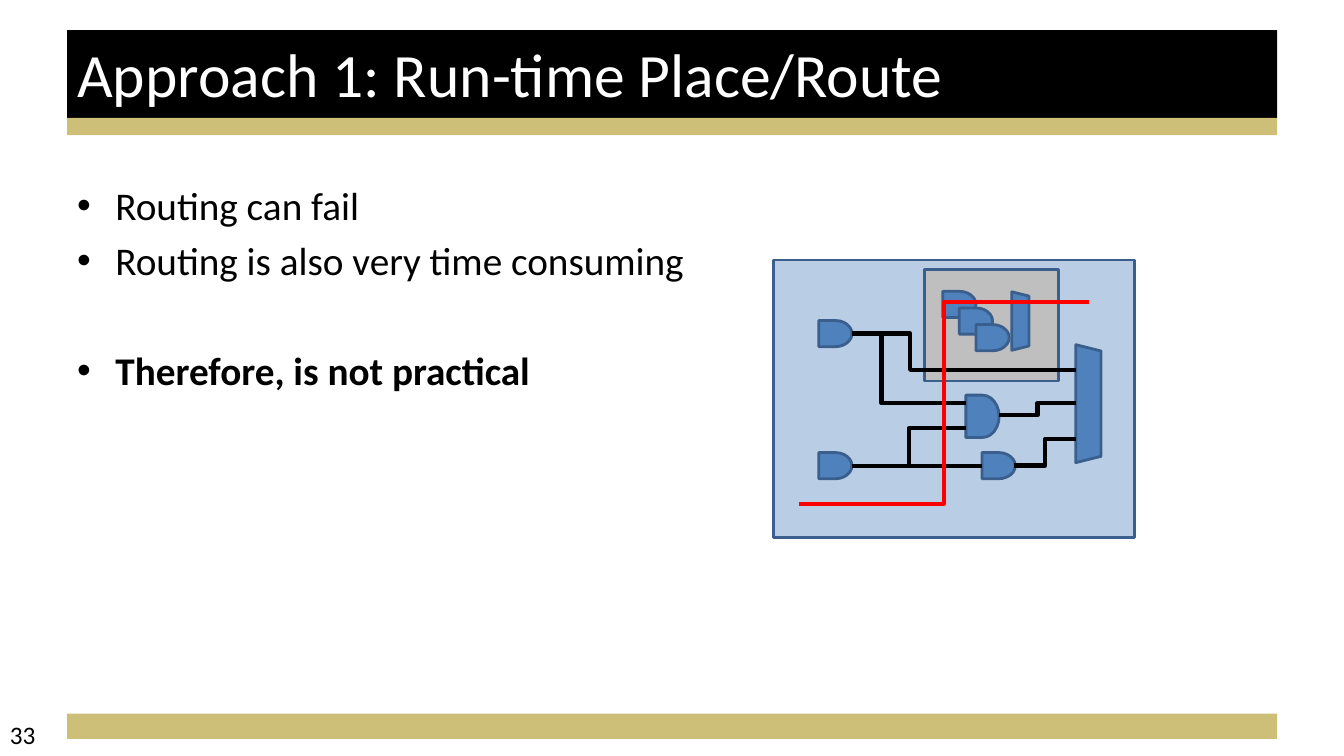
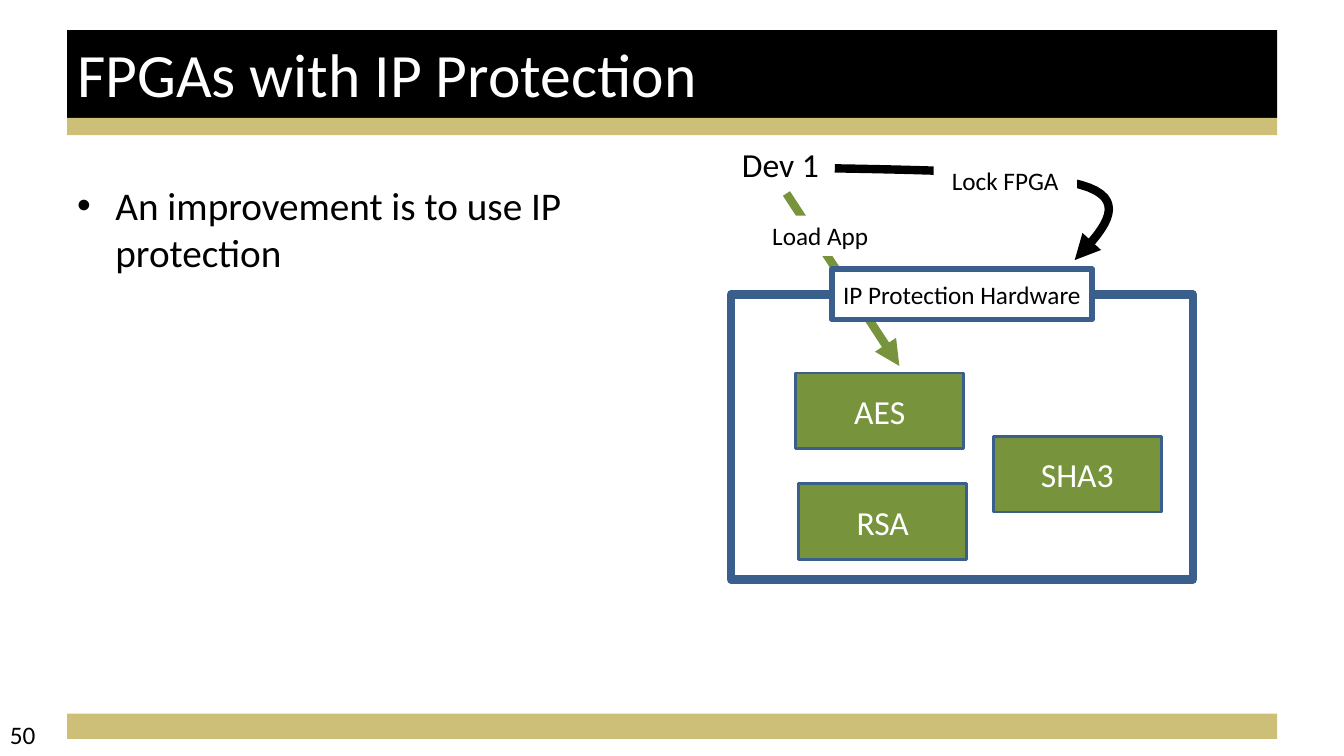
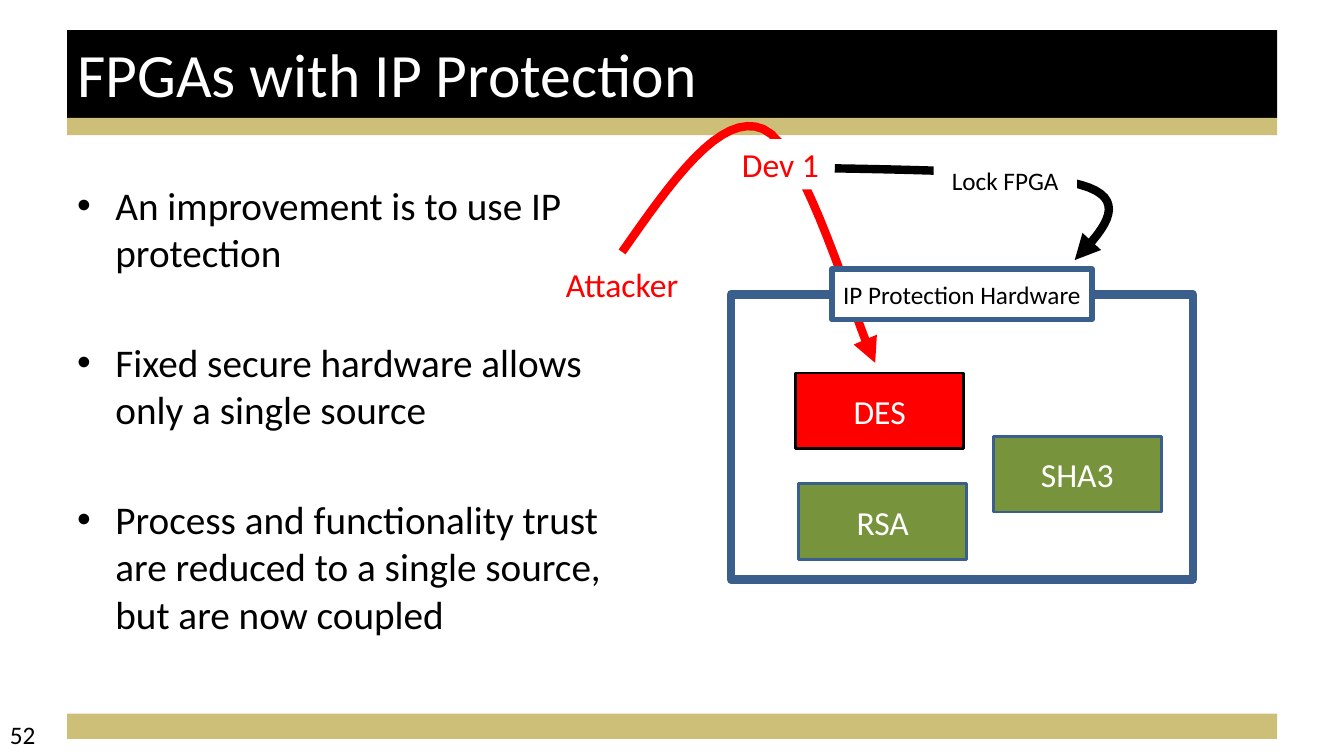
"""Build three slides on FPGA routing and IP protection."""
import lxml.etree
import pptx
import pptx.dml.color
import pptx.enum.shapes
import pptx.enum.text
import pptx.oxml.ns
import pptx.util

SHAPE = pptx.enum.shapes.MSO_SHAPE
CONNECTOR = pptx.enum.shapes.MSO_CONNECTOR
ALIGN = pptx.enum.text.PP_ALIGN
ANCHOR = pptx.enum.text.MSO_ANCHOR
Inches = pptx.util.Inches
Pt = pptx.util.Pt
qn = pptx.oxml.ns.qn

FONT = "Calibri"
BLACK, WHITE, GOLD, RED = "000000", "FFFFFF", "CDBF78", "FF0000"
BLUE, EDGE, GREEN, PALE, GRAY = "4F81BD", "3A5F8C", "77933C", "B9CDE5", "BFBFBF"

WIDTH, HEIGHT = 13.33, 7.5
MARGIN, BAND_WIDTH = WIDTH / 20, 12
TITLE_TOP, TITLE_HEIGHT = 0.3, 0.87
BANDS = [(TITLE_TOP + TITLE_HEIGHT, 0.17), (7.08, 0.25)]
TIGHT, LOOSE = 5.6, 45

IMPROVEMENT = ("An improvement is to use IP protection", 0, False)
PAGES = [
    dict(title="Approach 1: Run-time Place/Route", number="33", body_width=6.42,
         bullets=[("Routing can fail", 0, False),
                  ("Routing is also very time consuming", TIGHT, False),
                  ("Therefore, is not practical", LOOSE, True)]),
    dict(title="FPGAs with IP Protection", number="50", body_width=5.89,
         bullets=[IMPROVEMENT], first_core=("AES", GREEN, EDGE),
         labels=[("Dev 1", (7.23, 1.38, 1.02, 0.5), 24, BLACK, WHITE),
                 ("Load App", (7.46, 2.14, 1.35, 0.4), 18, BLACK, WHITE)]),
    dict(title="FPGAs with IP Protection", number="52", body_width=5.89,
         bullets=[IMPROVEMENT,
                  ("Fixed secure hardware allows only a single source", LOOSE, False),
                  ("Process and functionality trust are reduced to a single source, "
                   "but are now coupled", LOOSE, False)],
         first_core=("DES", RED, BLACK),
         labels=[("Attacker", (5.43, 2.57, 1.48, 0.5), 24, RED, None),
                 ("Dev 1", (7.23, 1.38, 1.02, 0.5), 24, RED, WHITE)]),
]

GATE = (0.33, 0.26)
INPUT_X, INPUT_Y, OUTPUT_Y = 8.12, 3.18, 4.49
SPARE_GATE, SPARE_STEP = (9.35, 2.89), 0.165
MUXES = [(10.21, 3.88, 1.17, 0.25), (9.83, 3.1, 0.58, 0.17)]
WIRES = [
    ((8.45, 3.31), (10.67, 3.67), 0.26, BLACK),
    ((10.06, 4.62), (10.67, 4.36), 0.5, BLACK),
    ((8.45, 3.31), (9.58, 4), 0.26, BLACK),
    ((8.45, 4.62), (9.58, 4.25), 0.5, BLACK),
    ((9.91, 4.12), (10.67, 4), 0.5, BLACK),
    ((7.92, 5), (10.8, 3), 0.5, RED),
]
LOAD_ROUTE = ((7.8, 1.92), (8.92, 3.63))
LOCK_CURVE = [(8.28, 1.67), (9.34, 1.69), (10.4, 1.71), (10.8, 1.86),
              (11.19, 2.01), (10.93, 2.3), (10.66, 2.58)]
ATTACK_CURVE = [(6.17, 2.5), (6.66, 1.8), (7.15, 1.1), (7.57, 1.28),
                (7.99, 1.46), (8.48, 3.21), (8.68, 3.6)]
CORE_SIZE = (1.67, 0.75)
OTHER_CORES = [("SHA3", 9.85, 4.33), ("RSA", 7.92, 4.8)]


def color(value):
    return pptx.dml.color.RGBColor.from_string(value)


def write(para, text, size, ink, bold=False):
    span = para.add_run()
    span.text = text
    span.font.name, span.font.size, span.font.bold = FONT, Pt(size), bold
    span.font.color.rgb = color(ink)


def add_box(page, area, fill=None, edge=None, weight=2, kind=SHAPE.RECTANGLE,
            text=None, size=24, ink=WHITE):
    box = page.shapes.add_shape(kind, *map(Inches, area))
    box.shadow.inherit = False
    paint(box.fill, fill)
    paint(box.line.fill, edge)
    if edge:
        box.line.width = Pt(weight)
    if text:
        box.text_frame.word_wrap = True
        box.text_frame.vertical_anchor = ANCHOR.MIDDLE
        para = box.text_frame.paragraphs[0]
        para.alignment = ALIGN.CENTER
        write(para, text, size, ink)
    return box


def paint(fill, value):
    if value:
        fill.solid()
        fill.fore_color.rgb = color(value)
    else:
        fill.background()


def stroke(line_shape, ink, weight, arrow=False):
    line_shape.line.color.rgb = color(ink)
    line_shape.line.width = Pt(weight)
    if arrow:
        outline = line_shape.element.find(qn("p:spPr")).find(qn("a:ln"))
        lxml.etree.SubElement(outline, qn("a:tailEnd"), type="triangle")


def add_wire(page, start, end, ink=BLACK, weight=3, bend=None, arrow=False):
    kind = CONNECTOR.STRAIGHT if bend is None else CONNECTOR.ELBOW
    wire = page.shapes.add_connector(kind, *map(Inches, start + end))
    stroke(wire, ink, weight, arrow)
    properties = wire.element.find(qn("p:spPr"))
    lxml.etree.SubElement(properties, qn("a:effectLst"))
    if bend is not None:
        guides = properties.find(qn("a:prstGeom")).find(qn("a:avLst"))
        lxml.etree.SubElement(guides, qn("a:gd"), name="adj1",
                              fmla=f"val {round(bend * 100000)}")
    return wire


def bezier(points, share):
    weights = ((1 - share) ** 3, 3 * share * (1 - share) ** 2,
               3 * share ** 2 * (1 - share), share ** 3)
    return tuple(Inches(sum(w * point[axis] for w, point in zip(weights, points)))
                 for axis in (0, 1))


def add_curve(page, points, ink, steps=16):
    track = [bezier(points[first:first + 4], step / steps)
             for first in range(0, len(points) - 1, 3)
             for step in range(1, steps + 1)]
    builder = page.shapes.build_freeform(*map(Inches, points[0]))
    builder.add_line_segments(track, close=False)
    curve = builder.convert_to_shape()
    curve.shadow.inherit = False
    curve.fill.background()
    stroke(curve, ink, 6, arrow=True)


def add_text_box(page, area):
    box = page.shapes.add_textbox(*map(Inches, area))
    box.text_frame.word_wrap = True
    return box.text_frame


def add_bullets(page, width, bullets):
    frame = add_text_box(page, (MARGIN, 1.75, width, 4.95))
    for index, (text, gap, bold) in enumerate(bullets):
        para = frame.add_paragraph() if index else frame.paragraphs[0]
        properties = para._p.get_or_add_pPr()
        properties.set("marL", str(Inches(0.38)))
        properties.set("indent", str(-Inches(0.38)))
        lxml.etree.SubElement(properties, qn("a:buFont"), typeface="Arial")
        lxml.etree.SubElement(properties, qn("a:buChar"), char="•")
        para.space_before = Pt(gap)
        write(para, text, 28, BLACK, bold)


def add_page(deck, content):
    page = deck.slides.add_slide(deck.slide_layouts[5])
    title = page.shapes.title
    title.left, title.top, title.width, title.height = map(
        Inches, (MARGIN, TITLE_TOP, BAND_WIDTH, TITLE_HEIGHT))
    paint(title.fill, BLACK)
    title.text_frame.auto_size = pptx.enum.text.MSO_AUTO_SIZE.NONE
    title.text_frame.vertical_anchor = ANCHOR.MIDDLE
    title.text_frame.margin_bottom = Inches(0.08)
    para = title.text_frame.paragraphs[0]
    para.alignment = ALIGN.LEFT
    write(para, content["title"], 44, WHITE)
    for top, height in BANDS:
        add_box(page, (MARGIN, top, BAND_WIDTH, height), GOLD)
    add_bullets(page, content["body_width"], content["bullets"])
    number = add_text_box(page, (0, 7.09, 3.11, 0.4))
    write(number.paragraphs[0], content["number"], 18, BLACK)
    return page


def add_gate(page, left, top, size=GATE):
    return add_box(page, (left, top) + size, BLUE, EDGE, kind=SHAPE.FLOWCHART_DELAY)


def draw_circuit(page):
    add_box(page, (7.67, 2.58, 3.58, 2.75), PALE, EDGE)
    add_box(page, (9.17, 2.67, 1.33, 1.11), GRAY, EDGE)
    for area in MUXES:
        add_box(page, area, BLUE, EDGE, kind=SHAPE.TRAPEZOID).rotation = 90
    add_gate(page, INPUT_X, INPUT_Y)
    source = add_gate(page, INPUT_X, OUTPUT_Y)
    target = add_gate(page, 9.74, OUTPUT_Y)
    add_gate(page, 9.58, 3.92, (0.33, 0.42))
    for index in range(3):
        add_gate(page, *(start + index * SPARE_STEP for start in SPARE_GATE))
    link = add_wire(page, (8.45, 4.62), (9.74, 4.62))
    link.begin_connect(source, 3)
    link.end_connect(target, 1)
    for start, end, bend, ink in WIRES:
        add_wire(page, start, end, ink, bend=bend)


def draw_protection(page, content, attacked):
    add_box(page, (7.25, 2.92, 4.58, 2.83), edge=EDGE, weight=6)
    name, fill, edge = content["first_core"]
    cores = [(name, 7.89, 3.7, fill, edge)]
    cores += [core + (GREEN, EDGE) for core in OTHER_CORES]
    for name, left, top, fill, edge in cores:
        add_box(page, (left, top) + CORE_SIZE, fill, edge, text=name)
    add_curve(page, LOCK_CURVE, BLACK)
    if attacked:
        add_curve(page, ATTACK_CURVE, RED)
    else:
        add_wire(page, *LOAD_ROUTE, GREEN, 6, arrow=True)
    lock = ("Lock FPGA", (9.26, 1.59, 1.42, 0.4), 18, BLACK, WHITE)
    for text, area, size, ink, fill in [lock] + content["labels"]:
        add_box(page, area, fill, text=text, size=size, ink=ink)
    add_box(page, (8.25, 2.67, 2.58, 0.5), WHITE, EDGE, 4,
            text="IP Protection Hardware", size=18, ink=BLACK)


def main():
    deck = pptx.Presentation()
    deck.slide_width, deck.slide_height = Inches(WIDTH), Inches(HEIGHT)
    routing, protected, attacked = PAGES
    draw_circuit(add_page(deck, routing))
    draw_protection(add_page(deck, protected), protected, attacked=False)
    draw_protection(add_page(deck, attacked), attacked, attacked=True)
    deck.save("out.pptx")


if __name__ == "__main__":
    main()
